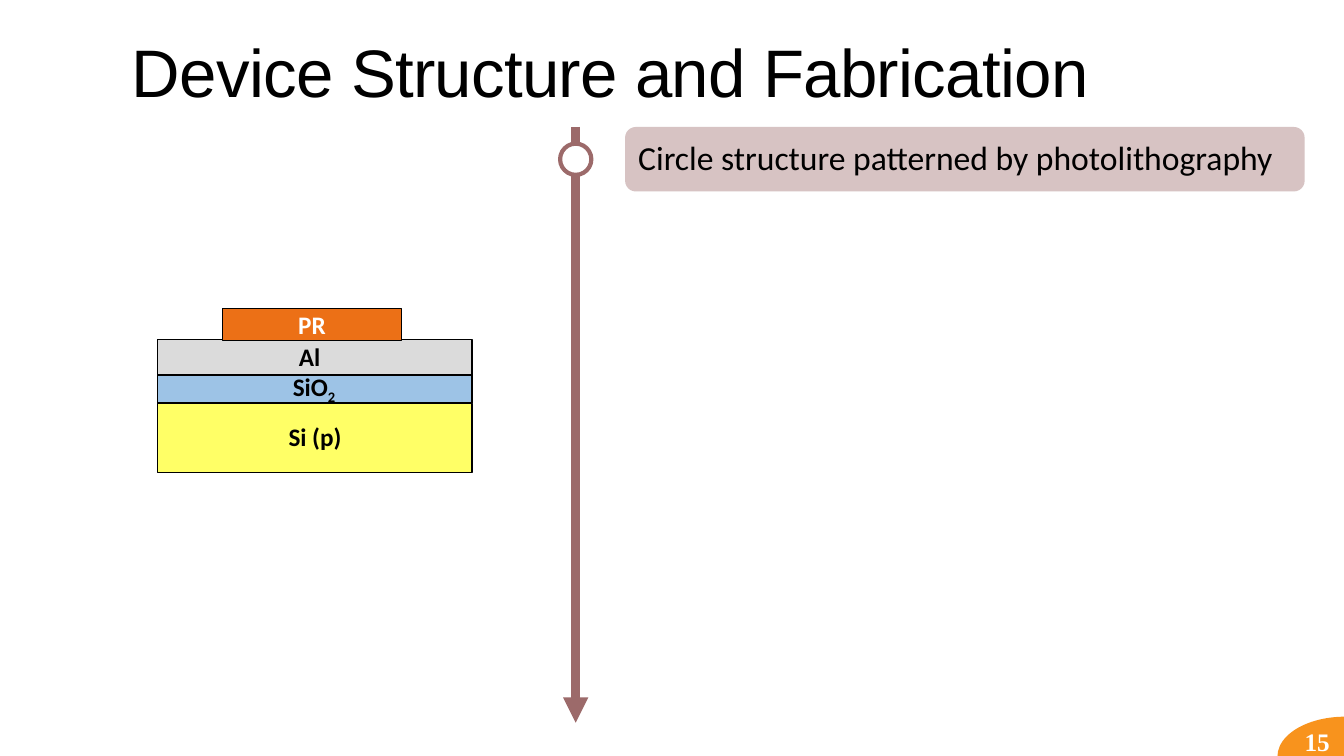
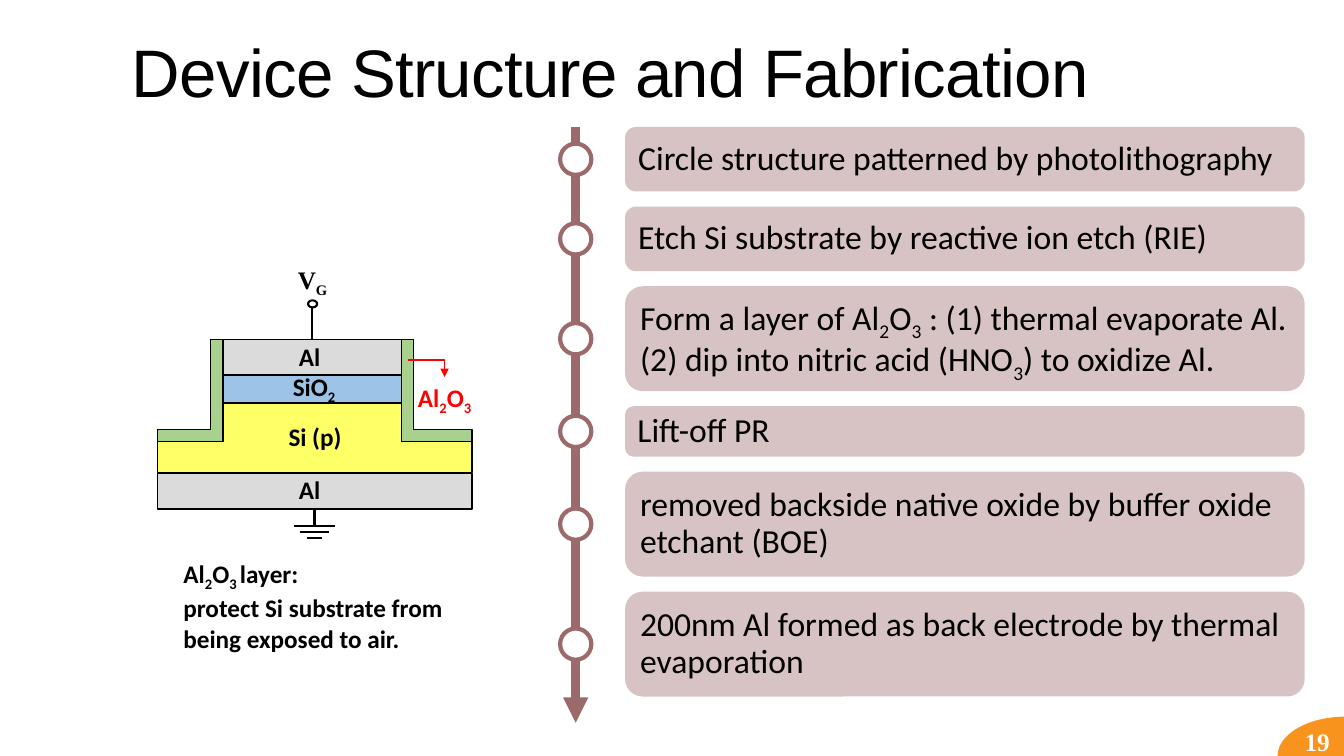
import lxml.etree
import pptx
import pptx.util
import pptx.dml.color
import pptx.enum.shapes
import pptx.enum.text
import pptx.oxml.ns

Inches, Pt = pptx.util.Inches, pptx.util.Pt
SHAPE = pptx.enum.shapes.MSO_SHAPE
CONNECTOR = pptx.enum.shapes.MSO_CONNECTOR
ALIGN = pptx.enum.text.PP_ALIGN
ANCHOR = pptx.enum.text.MSO_ANCHOR
qn = pptx.oxml.ns.qn

# Content: text between ~ marks is subscript
TITLE = "Device Structure and Fabrication"
STEPS = [  # text, box height
    ("Circle structure patterned by photolithography", 0.64),
    ("Etch Si substrate by reactive ion etch (RIE)", 0.64),
    ("Form a layer of Al~2~O~3~ : (1) thermal evaporate Al. "
     "(2) dip into nitric acid (HNO~3~) to oxidize Al.", 1.04),
    ("Lift-off PR", 0.5),
    ("removed backside native oxide by buffer oxide etchant (BOE)", 1.04),
    ("200nm Al formed as back electrode by thermal evaporation", 1.04),
]
CAPTION = ["Al~2~O~3 ~layer:", "protect Si substrate from being exposed to air."]
LABELS = {  # text, left, top, width
    "al": ("Al", 2.72, 3.34, 0.7),
    "oxide": ("SiO~2~", 2.66, 3.63, 0.91),
    "silicon": ("Si (p)", 2.61, 4.13, 1.03),
    "back": ("Al", 2.72, 4.66, 0.7),
    "spacer": ("Al~2~O~3~", 3.99, 3.74, 0.84),
    "gate": ("V~G~", 2.82, 2.57, 0.56),
}

# Style
COLORS = {
    "black": "000000", "white": "FFFFFF", "red": "FF0000",
    "badge": "F8931D", "timeline": "9C6A6A", "step": "D7C3C3",
    "aluminium": "DBDBDB", "silicon": "FFFF66", "oxide": "9DC3E6",
    "resist": "EC7016", "spacer": "A9D18E",
}
BODY_FONT, TITLE_FONT, SERIF_FONT = "Calibri", "Arial", "Times New Roman"

# Geometry in inches
TIMELINE_X, TIMELINE_TOP, TIMELINE_BOTTOM = 5.71, 1.26, 7.17
STEP_LEFT, STEP_WIDTH, STEP_GAP, MARKER = 6.2, 6.74, 0.15, 0.31
WAFER = (1.56, 3.12)  # left, width
MESA = (2.21, 1.77)
WAFER_RIGHT, MESA_RIGHT = sum(WAFER), sum(MESA)
MESA_CENTER = MESA[0] + MESA[1] / 2
AL_TOP, OXIDE_TOP, SILICON_TOP, SHOULDER, BACK_TOP = 3.37, 3.72, 4, 4.38, 4.7
AL_HEIGHT, OXIDE_HEIGHT, SPACER = 0.35, 0.28, 0.12


def color(name):
    return pptx.dml.color.RGBColor.from_string(COLORS[name])


def paint(shape, fill, line=None, width=1):
    shape.shadow.inherit = False
    shape.fill.solid()
    shape.fill.fore_color.rgb = color(fill)
    if line:
        shape.line.color.rgb = color(line)
        shape.line.width = Pt(width)
    else:
        shape.line.fill.background()
    return shape


def add_box(slide, kind, left, top, width, height, fill, line=None, weight=1):
    shape = slide.shapes.add_shape(
        kind, Inches(left), Inches(top), Inches(width), Inches(height))
    return paint(shape, fill, line, weight)


def write(shape, paragraphs, size=18, font=BODY_FONT, ink="black", bold=False,
          align=ALIGN.LEFT, anchor=ANCHOR.TOP, spacing=None, wrap=True):
    frame = shape.text_frame
    frame.word_wrap = wrap
    frame.vertical_anchor = anchor
    for index, text in enumerate(paragraphs):
        paragraph = frame.add_paragraph() if index else frame.paragraphs[0]
        paragraph.alignment = align
        if spacing:
            paragraph.line_spacing = spacing
        for part, piece in enumerate(text.split("~")):
            if not piece:
                continue
            run = paragraph.add_run()
            run.text = piece
            run.font.name, run.font.size, run.font.bold = font, Pt(size), bold
            run.font.color.rgb = color(ink)
            if part % 2:
                run.font._element.set("baseline", "-25000")
    return frame


def add_text(slide, left, top, width, height, paragraphs, **style):
    box = slide.shapes.add_textbox(
        Inches(left), Inches(top), Inches(width), Inches(height))
    return write(box, paragraphs, **style)


def add_label(slide, key, ink="black", font=BODY_FONT):
    text, left, top, width = LABELS[key]
    add_text(slide, left, top, width, 0.4, [text], bold=True,
             ink=ink, font=font, align=ALIGN.CENTER)


def add_line(slide, start, end, ink, width, arrow=False, elbow=False):
    kind = CONNECTOR.ELBOW if elbow else CONNECTOR.STRAIGHT
    connector = slide.shapes.add_connector(
        kind, *[Inches(value) for value in (*start, *end)])
    connector.line.color.rgb = color(ink)
    connector.line.width = Pt(width)
    properties = connector._element.spPr
    if elbow:  # one corner: across, then down
        properties.find(qn("a:prstGeom")).set("prst", "bentConnector2")
    if arrow:
        lxml.etree.SubElement(properties.find(qn("a:ln")), qn("a:tailEnd"),
                              type="triangle")
    lxml.etree.SubElement(properties, qn("a:effectLst"))
    return connector


def add_outline(slide, points, fill):
    corners = [(Inches(x), Inches(y)) for x, y in points]
    builder = slide.shapes.build_freeform(*corners[0], scale=1.0)
    builder.add_line_segments(corners[1:], close=True)
    return paint(builder.convert_to_shape(), fill, "black")


def add_layer(slide, span, top, height, fill):
    return add_box(slide, SHAPE.RECTANGLE, span[0], top, span[1], height,
                   fill, "black")


def add_base(presentation, number):
    """Blank slide with page badge and title."""
    slide = presentation.slides.add_slide(presentation.slide_layouts[6])
    badge = add_box(slide, SHAPE.PIE, 12.67, 7.11, 1.34, 0.79, "badge")
    badge.adjustments[0], badge.adjustments[1] = 107.68, 162
    add_text(slide, 12.84, 7.16, 0.5, 0.4, [str(number)], font=SERIF_FONT,
             ink="white", bold=True, wrap=False)
    frame = add_text(slide, 1.21, 0.16, 11, 1.21, [TITLE], size=48,
                     font=TITLE_FONT, anchor=ANCHOR.MIDDLE, spacing=0.85)
    frame.paragraphs[0].runs[0].font._element.set("spc", "-50")
    return slide


def add_timeline(slide, steps):
    add_line(slide, (TIMELINE_X, TIMELINE_TOP), (TIMELINE_X, TIMELINE_BOTTOM),
             "timeline", 6, arrow=True)
    top = TIMELINE_TOP
    for text, height in steps:
        box = add_box(slide, SHAPE.ROUNDED_RECTANGLE, STEP_LEFT, top,
                      STEP_WIDTH, height, "step")
        frame = write(box, [text], size=24, anchor=ANCHOR.MIDDLE, spacing=0.9)
        frame.margin_left, frame.margin_right = Inches(0.1), 0
        add_box(slide, SHAPE.OVAL, TIMELINE_X - MARKER / 2,
                top + (height - MARKER) / 2, MARKER, MARKER,
                "white", "timeline", 3)
        top += height + STEP_GAP


def draw_patterned_stack(slide):
    add_layer(slide, WAFER, AL_TOP, AL_HEIGHT, "aluminium")
    add_layer(slide, WAFER, SILICON_TOP, 0.69, "silicon")
    add_layer(slide, WAFER, OXIDE_TOP, OXIDE_HEIGHT, "oxide")
    resist = add_layer(slide, MESA, 3.06, 0.32, "resist")
    frame = write(resist, ["PR"], ink="white", bold=True, align=ALIGN.CENTER,
                  anchor=ANCHOR.MIDDLE)
    frame.margin_top = frame.margin_bottom = 0
    for key in ("al", "oxide", "silicon"):
        add_label(slide, key)


def draw_finished_device(slide):
    # Layers
    gate_metal = add_layer(slide, MESA, AL_TOP, AL_HEIGHT, "aluminium")
    bottom = 4.69
    add_outline(slide, [
        (MESA[0], SILICON_TOP), (MESA_RIGHT, SILICON_TOP),
        (MESA_RIGHT, SHOULDER), (WAFER_RIGHT, SHOULDER),
        (WAFER_RIGHT, bottom), (WAFER[0], bottom),
        (WAFER[0], SHOULDER), (MESA[0], SHOULDER)], "silicon")
    add_layer(slide, MESA, OXIDE_TOP, OXIDE_HEIGHT, "oxide")
    back_metal = add_layer(slide, WAFER, BACK_TOP, AL_HEIGHT, "aluminium")

    # Side walls
    for wall, foot, outward in ((MESA[0], WAFER[0], -1),
                                (MESA_RIGHT, WAFER_RIGHT, 1)):
        outer = wall + outward * SPACER
        add_outline(slide, [
            (wall, AL_TOP), (outer, AL_TOP), (outer, SHOULDER - SPACER),
            (foot, SHOULDER - SPACER), (foot, SHOULDER), (wall, SHOULDER)],
            "spacer")
    add_line(slide, (4.05, 3.57), (4.41, 3.74), "red", 1, arrow=True, elbow=True)

    # Gate terminal
    add_box(slide, SHAPE.OVAL, MESA_CENTER - 0.04, 2.98, 0.09, 0.07,
            "white", "black", 1.5)
    stem = add_line(slide, (MESA_CENTER, 3.05), (MESA_CENTER, AL_TOP), "black", 1.5)
    stem.end_connect(gate_metal, 0)

    # Ground
    ground_x, ground_top = WAFER[0] + WAFER[1] / 2, 5.22
    lead = add_line(slide, (ground_x, BACK_TOP + AL_HEIGHT),
                    (ground_x, ground_top), "black", 1.5)
    lead.begin_connect(back_metal, 2)
    for row, width in enumerate((0.41, 0.28, 0.15)):
        y = ground_top + row * 0.06
        add_line(slide, (ground_x - width / 2, y), (ground_x + width / 2, y),
                 "black", 1.5)

    # Labels
    for key in ("al", "oxide", "silicon", "back"):
        add_label(slide, key)
    add_label(slide, "spacer", ink="red")
    add_label(slide, "gate", font=SERIF_FONT)
    add_text(slide, 1.72, 5.49, 2.89, 1.01, CAPTION, bold=True)


def main():
    presentation = pptx.Presentation()
    presentation.slide_width = Inches(13.33)
    presentation.slide_height = Inches(7.5)
    for number, step_count, draw_device in ((15, 1, draw_patterned_stack),
                                            (19, 6, draw_finished_device)):
        slide = add_base(presentation, number)
        add_timeline(slide, STEPS[:step_count])
        draw_device(slide)
    presentation.save("out.pptx")


if __name__ == "__main__":
    main()
